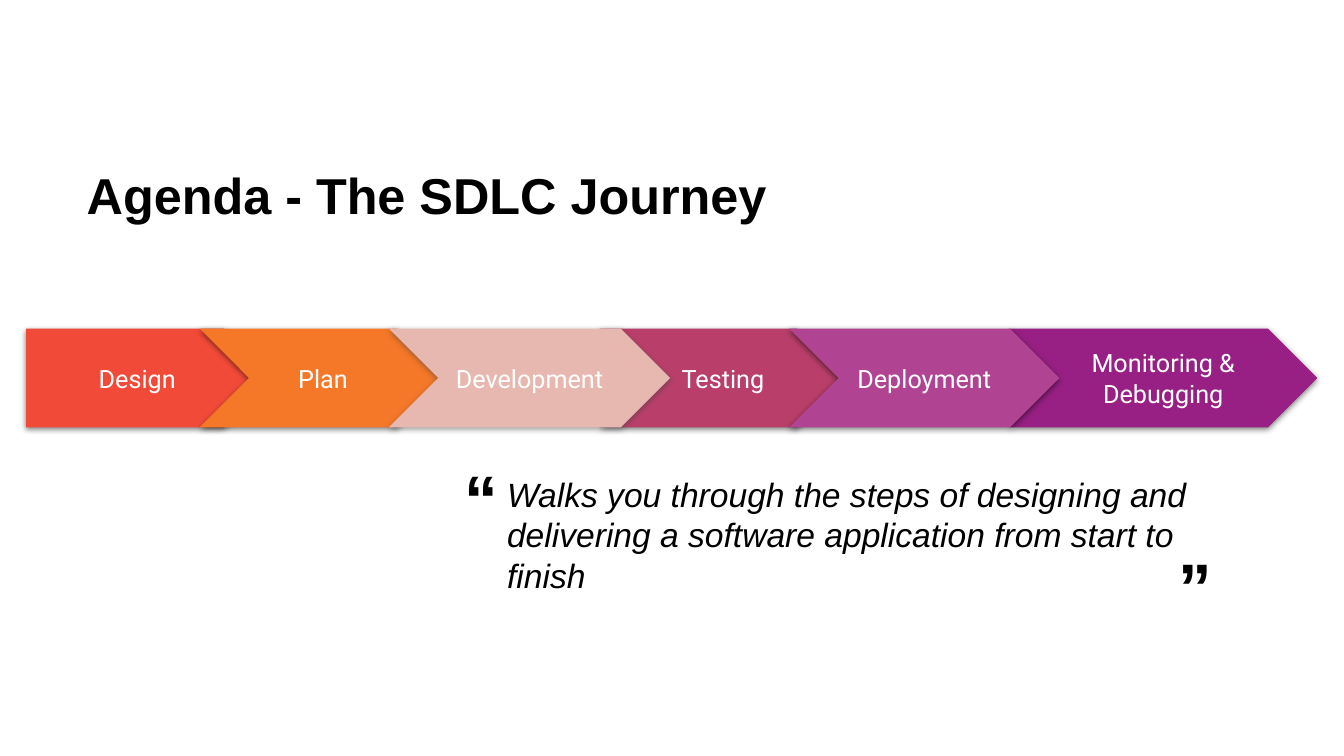
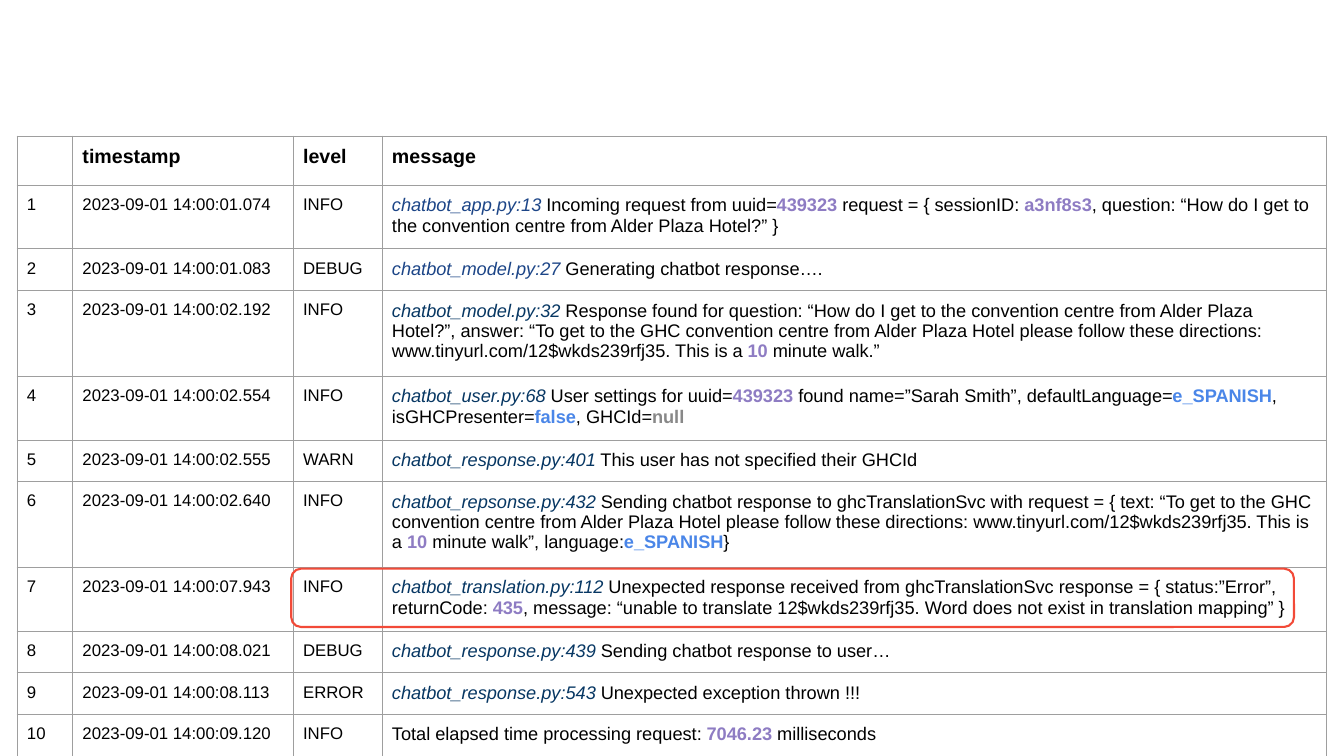
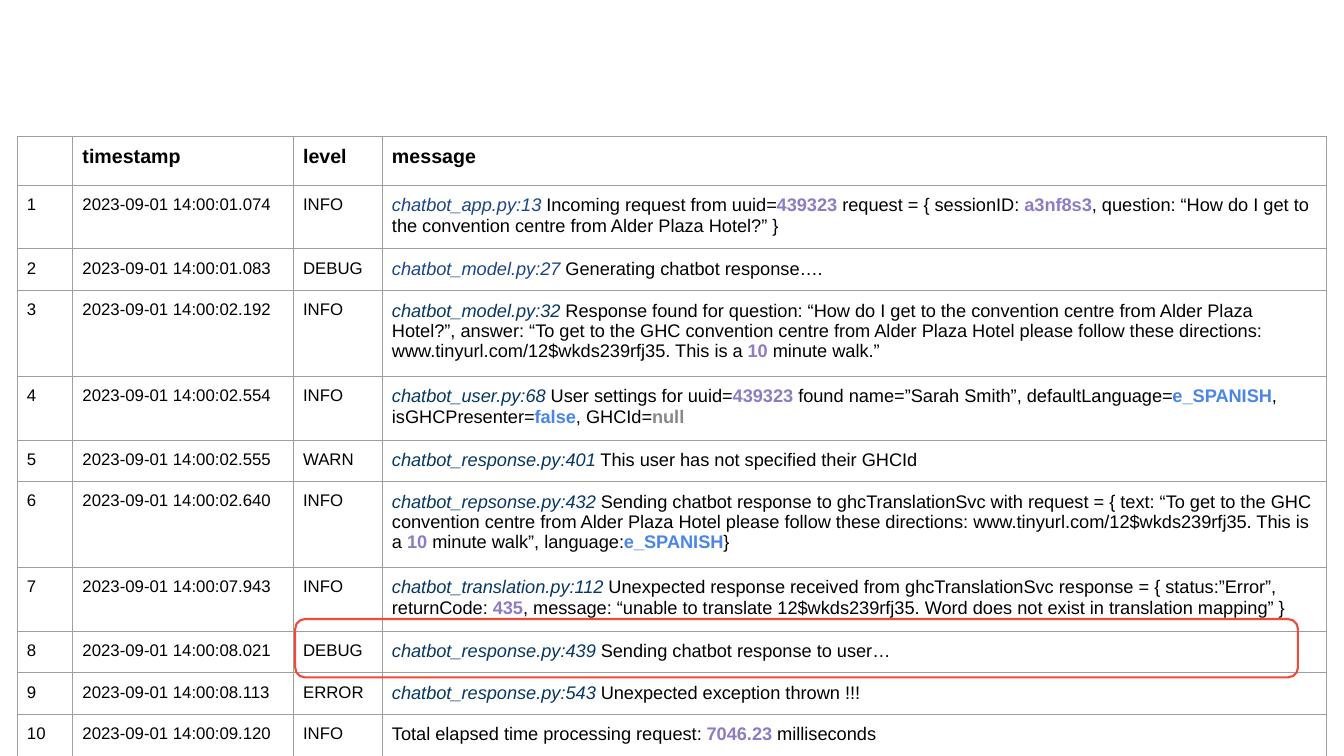
from lxml import etree
from pptx import Presentation
from pptx.dml.color import RGBColor
from pptx.enum import shapes, text
from pptx.oxml.ns import qn
from pptx.util import Cm, Pt

BLACK = RGBColor(0x00, 0x00, 0x00)
WHITE = RGBColor(0xFF, 0xFF, 0xFF)
RED = RGBColor(0xF2, 0x4A, 0x38)
ORANGE = RGBColor(0xF5, 0x78, 0x28)
PINK = RGBColor(0xE6, 0xB8, 0xAF)
ROSE = RGBColor(0xB9, 0x3F, 0x6A)
ORCHID = RGBColor(0xB0, 0x44, 0x92)
PURPLE = RGBColor(0x98, 0x20, 0x84)
CHARCOAL = RGBColor(0x43, 0x43, 0x43)
BORDER = RGBColor(0x9E, 0x9E, 0x9E)

REF = dict(color=RGBColor(0x1C, 0x45, 0x87), italic=True)
DARK_REF = dict(color=RGBColor(0x07, 0x37, 0x63), italic=True)
VALUE = dict(color=RGBColor(0x8E, 0x7C, 0xC3), bold=True)
WORD = dict(color=RGBColor(0x4A, 0x86, 0xE8), bold=True)
NULL = dict(color=RGBColor(0x88, 0x88, 0x88), bold=True)

TITLE = "Agenda - The SDLC Journey"
STAGES = [
    ("Design", 0.66, 6.22, RED, BLACK),
    ("Plan", 5.03, 6.22, ORANGE, BLACK),
    ("Testing", 15.11, 6.22, ROSE, BLACK),
    ("Monitoring & Debugging", 25.43, 7.77, PURPLE, BLACK),
    ("Deployment", 19.89, 6.81, ORCHID, BLACK),
    ("Development", 9.8, 7.09, PINK, CHARCOAL),
]
QUOTE = [
    ("Walks you through the steps of designing and delivering a software "
     "application from start to finish", (12.78, 11.94, 18.11, 3.07), 0, dict(size=24, italic=True)),
    ("“", (11.38, 11.18, 2.01, 2.74), 0.33, dict(size=48, bold=True)),
    ("”", (29.69, 13.72, 2.01, 2.06), 0, dict(size=48, bold=True)),
]

HEADERS = ["", "timestamp", "level", "message"]
COLUMNS = [1.4, 5.56, 2.24, 23.8]
LOG = [
    ("01.074", "INFO", 2, [
        ("chatbot_app.py:13", REF), " Incoming request from uuid=", ("439323", VALUE),
        " request = { sessionID: ", ("a3nf8s3", VALUE),
        ", question: “How do I get to the convention centre from Alder Plaza Hotel?” }"]),
    ("01.083", "DEBUG", 1, [("chatbot_model.py:27", REF), " Generating chatbot response…."]),
    ("02.192", "INFO", 3, [
        ("chatbot_model.py:32", DARK_REF),
        " Response found for question: “How do I get to the convention centre from Alder Plaza "
        "Hotel?”, answer: “To get to the GHC convention centre from Alder Plaza Hotel please "
        "follow these directions: www.tinyurl.com/12$wkds239rfj35. This is a ",
        ("10", VALUE), " minute walk.”"]),
    ("02.554", "INFO", 2, [
        ("chatbot_user.py:68", DARK_REF), " User settings for uuid=", ("439323", VALUE),
        " found name=”Sarah Smith”, defaultLanguage=", ("e_SPANISH", WORD),
        ", isGHCPresenter=", ("false", WORD), ", GHCId=", ("null", NULL)]),
    ("02.555", "WARN", 1, [
        ("chatbot_response.py:401", DARK_REF), " This user has not specified their GHCId"]),
    ("02.640", "INFO", 3, [
        ("chatbot_repsonse.py:432", DARK_REF),
        " Sending chatbot response to ghcTranslationSvc with request = { text: “To get to the "
        "GHC convention centre from Alder Plaza Hotel please follow these directions: "
        "www.tinyurl.com/12$wkds239rfj35. This is a ",
        ("10", VALUE), " minute walk”, language:", ("e_SPANISH", WORD), "}"]),
    ("07.943", "INFO", 2, [
        ("chatbot_translation.py:112", DARK_REF),
        " Unexpected response received from ghcTranslationSvc response = { status:”Error”, "
        "returnCode: ", ("435", VALUE),
        ", message: “unable to translate 12$wkds239rfj35. Word does not exist in translation "
        "mapping” }"]),
    ("08.021", "DEBUG", 1, [
        ("chatbot_response.py:439 ", DARK_REF), "Sending chatbot response to user…"]),
    ("08.113", "ERROR", 1, [
        ("chatbot_response.py:543 ", DARK_REF), "Unexpected exception thrown !!!"]),
    ("09.120", "INFO", 1, [
        "Total elapsed time processing request: ", ("7046.23", VALUE), " milliseconds"]),
]
HIGHLIGHTS = [(7.34, 14.33), (7.44, 15.6)]


def write(p, content, size=12, color=BLACK, bold=False, italic=False, font="Arial"):
    r = p.add_run()
    r.text = content
    f = r.font
    f.name, f.size, f.bold, f.italic = font, Pt(size), bold, italic
    f.color.rgb = color


def set_margins(tf, margin):
    tf.margin_left = tf.margin_right = tf.margin_top = tf.margin_bottom = Cm(margin)


def add_stage(s, label, left, width, fill, shadow):
    kind = shapes.MSO_SHAPE.PENTAGON if label == "Design" else shapes.MSO_SHAPE.CHEVRON
    sp = s.shapes.add_shape(kind, Cm(left), Cm(8.28), Cm(width), Cm(2.49))
    sp.fill.solid()
    sp.fill.fore_color.rgb = fill
    sp.line.fill.background()
    sp.shadow.inherit = False
    effects = sp._element.spPr.find(qn("a:effectLst"))
    outer = etree.SubElement(effects, qn("a:outerShdw"), blurRad=str(Pt(4.5)),
                             dist=str(Pt(1.5)), dir="5400000", algn="bl", rotWithShape="0")
    clr = etree.SubElement(outer, qn("a:srgbClr"), val=str(shadow))
    etree.SubElement(clr, qn("a:alpha"), val="50000")
    tf = sp.text_frame
    tf.word_wrap = True
    tf.vertical_anchor = text.MSO_ANCHOR.MIDDLE
    set_margins(tf, 0)
    p = tf.paragraphs[0]
    p.alignment = text.PP_ALIGN.CENTER
    write(p, label, size=18, color=WHITE, font="Roboto")


def build_agenda(prs):
    s = prs.slides.add_slide(prs.slide_layouts[5])
    title = s.shapes.title
    title.left, title.top, title.width, title.height = Cm(1.93), Cm(3.81), Cm(29.21), Cm(2.39)
    title.text_frame.vertical_anchor = text.MSO_ANCHOR.MIDDLE
    p = title.text_frame.paragraphs[0]
    p.alignment = text.PP_ALIGN.LEFT
    p.line_spacing = 0.9
    write(p, TITLE, size=36, bold=True)
    for stage in STAGES:
        add_stage(s, *stage)
    for content, box, margin, style in QUOTE:
        tf = s.shapes.add_textbox(*map(Cm, box)).text_frame
        tf.word_wrap = True
        set_margins(tf, margin)
        write(tf.paragraphs[0], content, **style)


def fill_cell(cell, parts, **style):
    cell.fill.background()
    set_margins(cell, 0.25)
    tcPr = cell._tc.get_or_add_tcPr()
    for i, side in enumerate(("lnL", "lnR", "lnT", "lnB")):
        ln = etree.Element(qn("a:" + side), w=str(Pt(0.75)))
        fill = etree.SubElement(ln, qn("a:solidFill"))
        etree.SubElement(fill, qn("a:srgbClr"), val=str(BORDER))
        tcPr.insert(i, ln)
    p = cell.text_frame.paragraphs[0]
    for part in parts:
        content, extra = part if isinstance(part, tuple) else (part, {})
        if content:
            write(p, content, **style, **extra)
        else:
            etree.SubElement(p._p, qn("a:endParaRPr"), sz="1400")


def build_log(prs, highlight):
    s = prs.slides.add_slide(prs.slide_layouts[6])
    heights = [1.24] + [1.04 + 0.56 * (lines - 1) for _, _, lines, _ in LOG]
    tbl = s.shapes.add_table(len(heights), len(COLUMNS), Cm(0.43), Cm(3.43),
                             Cm(sum(COLUMNS)), Cm(sum(heights))).table
    tbl.first_row = tbl.horz_banding = False
    for column, width in zip(tbl.columns, COLUMNS):
        column.width = Cm(width)
    for row, height in zip(tbl.rows, heights):
        row.height = Cm(height)
    for c, header in enumerate(HEADERS):
        fill_cell(tbl.cell(0, c), [header], size=14, bold=True)
    for n, (seconds, level, _, message) in enumerate(LOG, 1):
        for c, label in enumerate((str(n), "2023-09-01 14:00:" + seconds, level)):
            fill_cell(tbl.cell(n, c), [label])
        fill_cell(tbl.cell(n, 3), message, size=13)
    left, top = highlight
    sp = s.shapes.add_shape(shapes.MSO_SHAPE.ROUNDED_RECTANGLE,
                            Cm(left), Cm(top), Cm(25.27), Cm(1.47))
    sp.fill.background()
    sp.line.color.rgb = RED
    sp.line.width = Pt(1.5)
    sp.shadow.inherit = False


def main():
    prs = Presentation()
    prs.slide_width, prs.slide_height = Cm(33.87), Cm(19.05)
    build_agenda(prs)
    for highlight in HIGHLIGHTS:
        build_log(prs, highlight)
    prs.save("out.pptx")


if __name__ == "__main__":
    main()
